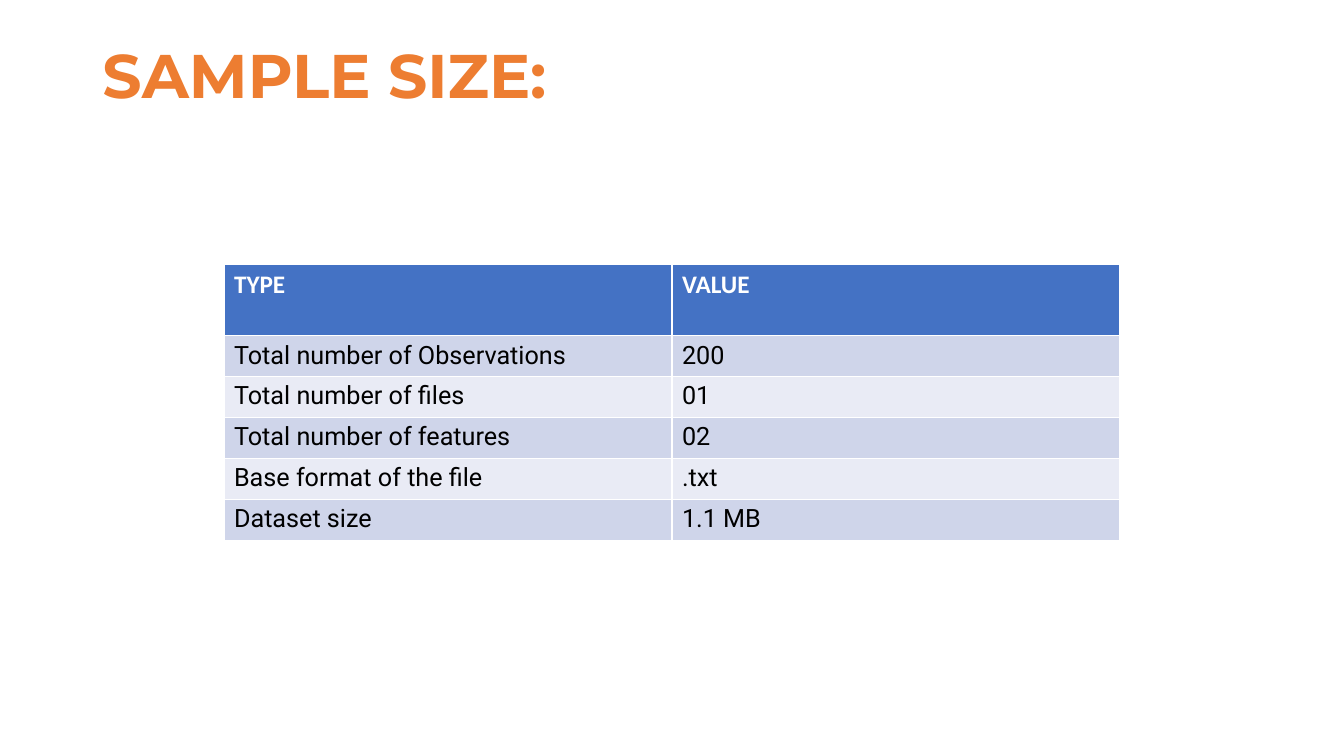
from pptx import Presentation
from pptx.dml.color import RGBColor
from pptx.enum.text import MSO_ANCHOR, PP_ALIGN
from pptx.util import Pt

ORANGE = RGBColor(0xED, 0x7D, 0x31)
BLUE = RGBColor(0x44, 0x72, 0xC4)
BAND_DARK = RGBColor(0xCF, 0xD5, 0xEA)
BAND_LIGHT = RGBColor(0xE9, 0xEB, 0xF5)
WHITE = RGBColor(0xFF, 0xFF, 0xFF)
BLACK = RGBColor(0x00, 0x00, 0x00)

ROWS = [
    ("TYPE", "VALUE"),
    ("Total number of Observations", "200"),
    ("Total number of files", "01"),
    ("Total number of features", "02"),
    ("Base format of the file", ".txt"),
    ("Dataset size", "1.1 MB"),
]
HEADER_HEIGHT = 50.8
ROW_HEIGHT = 29.2

prs = Presentation()
prs.slide_width, prs.slide_height = Pt(960), Pt(540)
s = prs.slides.add_slide(prs.slide_layouts[5])

title = s.shapes.title
title.left, title.top, title.width, title.height = Pt(66), Pt(28.8), Pt(828), Pt(104.4)
tf = title.text_frame
tf.text = "SAMPLE SIZE:"
tf.vertical_anchor = MSO_ANCHOR.TOP
p = tf.paragraphs[0]
p.alignment = PP_ALIGN.LEFT
p.line_spacing = 0.9
font = p.runs[0].font
font.name, font.size, font.bold = "Montserrat", Pt(44), True
font.color.rgb = ORANGE

table_height = HEADER_HEIGHT + ROW_HEIGHT * (len(ROWS) - 1)
table = s.shapes.add_table(
    len(ROWS), 2, Pt(160), Pt(189), Pt(640), Pt(table_height)
).table
for i, row in enumerate(ROWS):
    header = i == 0
    table.rows[i].height = Pt(HEADER_HEIGHT if header else ROW_HEIGHT)
    for j, text in enumerate(row):
        cell = table.cell(i, j)
        cell.text = text
        cell.fill.solid()
        cell.fill.fore_color.rgb = BLUE if header else BAND_DARK if i % 2 else BAND_LIGHT
        font = cell.text_frame.paragraphs[0].runs[0].font
        font.name = "Calibri" if header else "Roboto"
        font.size, font.bold = Pt(18), header
        font.color.rgb = WHITE if header else BLACK

prs.save("out.pptx")
